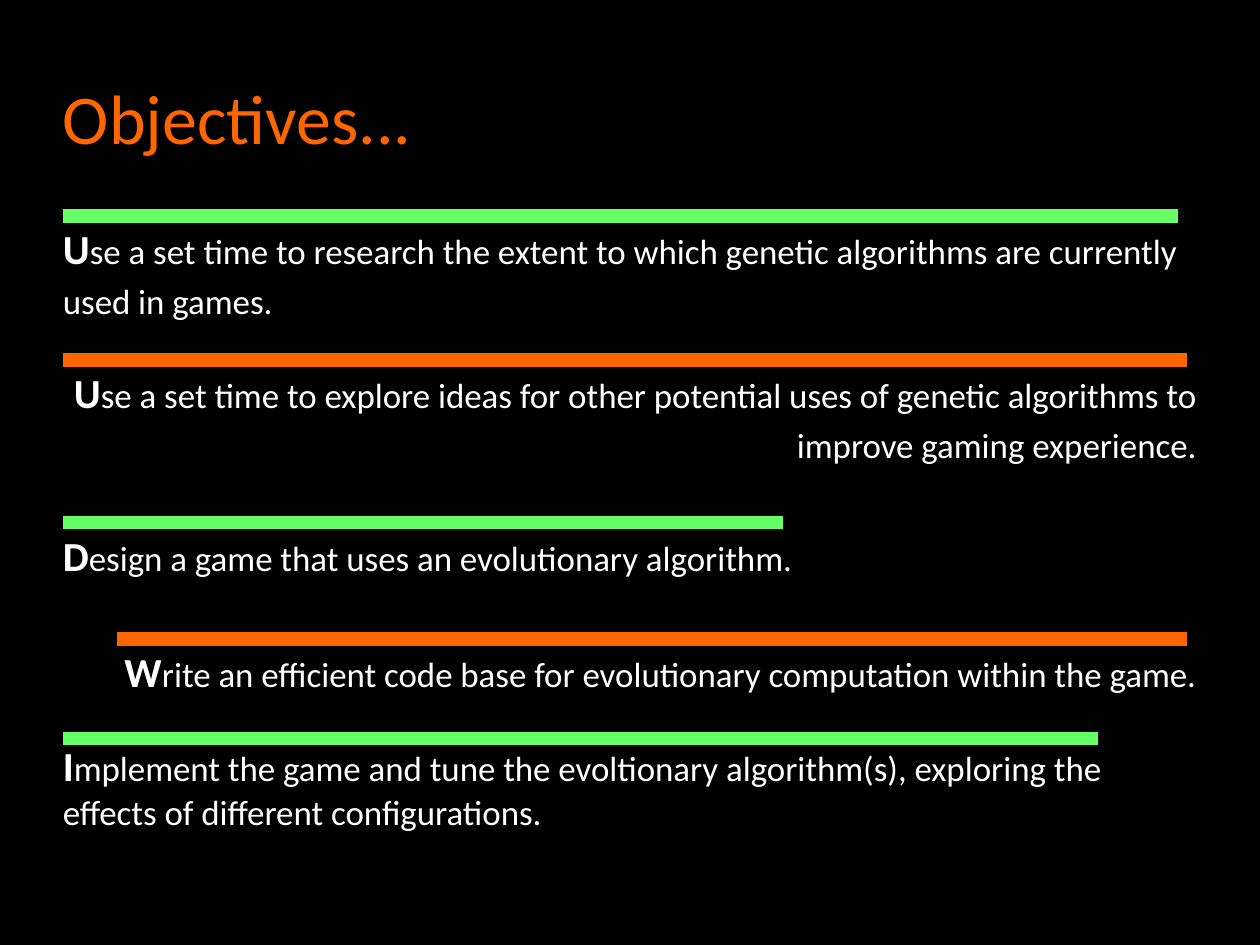
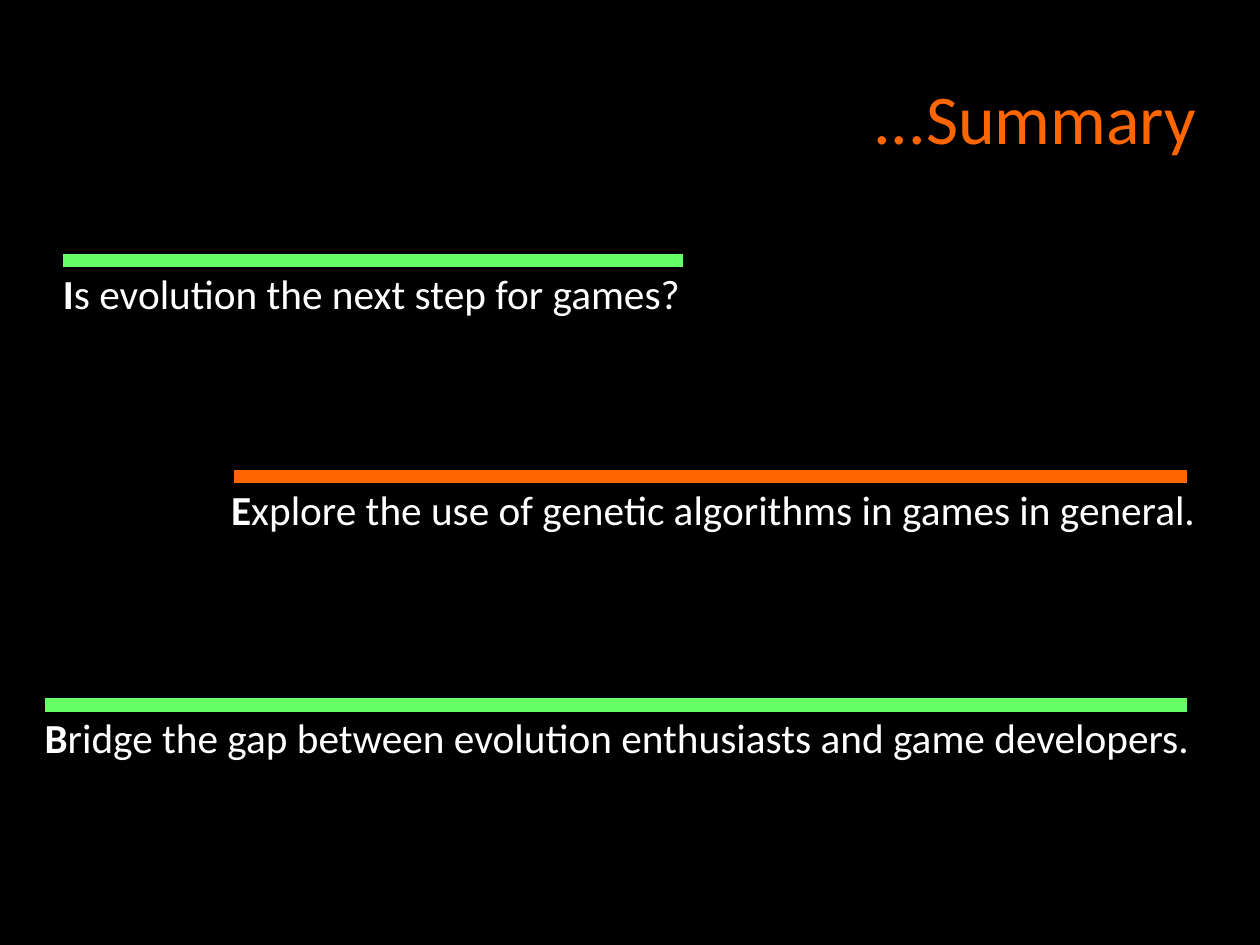
from dataclasses import dataclass

from lxml.etree import SubElement
from pptx import Presentation
from pptx.dml.color import RGBColor
from pptx.enum.shapes import MSO_CONNECTOR as Connector
from pptx.enum.text import MSO_ANCHOR as Anchor, PP_ALIGN as Align
from pptx.oxml.ns import qn
from pptx.util import Emu, Inches, Pt

BLACK = RGBColor(0x00, 0x00, 0x00)
WHITE = RGBColor(0xFF, 0xFF, 0xFF)
ORANGE = RGBColor(0xFF, 0x66, 0x00)
GREEN = RGBColor(0x66, 0xFF, 0x66)
FONT = "Calibri"
INITIAL_SIZE = 26
RULE_COLORS = (GREEN, ORANGE)


@dataclass
class Point:
    text: str
    top: float
    rule: tuple
    left: float
    width: float
    height: float = 0.44
    align: Align = Align.LEFT
    spacing: float = 1.15
    drop: float = 0


OBJECTIVES = (
    Point("Use a set time to research the extent to which genetic algorithms "
          "are currently used in games.",
          1.89, (0.55, 10.31), 0.55, 10.31, 0.87),
    Point("Use a set time to explore ideas for other potential uses of genetic "
          "algorithms to improve gaming experience.",
          3.15, (0.55, 10.39), 0.39, 10.08, 0.87, Align.RIGHT),
    Point("Design a game that uses an evolutionary algorithm.",
          4.57, (0.55, 6.85), 0.55, 6.58),
    Point("Write an efficient code base for evolutionary computation within "
          "the game.",
          5.59, (1.02, 10.39), 0.9, 9.57, align=Align.RIGHT),
    Point("Implement the game and tune the evoltionary algorithm(s), exploring "
          "the effects of different configurations.",
          6.46, (0.55, 9.61), 0.55, 9.21, 0.81, spacing=1.0, drop=0.02),
)
SUMMARY = (
    Point("Is evolution the next step for games?",
          2.28, (0.55, 5.98), 0.55, 10.31, 0.85),
    Point("Explore the use of genetic algorithms in games in general.",
          4.17, (2.05, 10.39), 0.39, 10.08, 0.87, Align.RIGHT),
    Point("Bridge the gap between evolution enthusiasts and game developers.",
          6.17, (0.39, 10.39), 0.39, 10.24),
)


def add_box(page, left, top, width, height, align, anchor=Anchor.TOP):
    box = page.shapes.add_textbox(Inches(left), Inches(top),
                                  Inches(width), Inches(height))
    frame = box.text_frame
    frame.word_wrap = True
    frame.vertical_anchor = anchor
    frame.margin_left = frame.margin_right = 0
    frame.margin_top = frame.margin_bottom = 0
    para = frame.paragraphs[0]
    para.alignment = align
    return para


def add_span(para, text, size, color, bold=False):
    span = para.add_run()
    span.text = text
    span.font.name = FONT
    span.font.size = Pt(size)
    span.font.bold = bold
    span.font.color.rgb = color


def add_rule(page, start, end, top, color):
    rule = page.shapes.add_connector(Connector.STRAIGHT, Inches(start), Inches(top),
                                     Inches(end), Inches(top))
    rule.line.color.rgb = color
    rule.line.width = Pt(8.5)
    SubElement(rule._element.spPr, qn("a:effectLst"))


def add_point(page, point, size):
    para = add_box(page, point.left, point.top + point.drop,
                   point.width, point.height, point.align)
    para.line_spacing = point.spacing
    para.space_after = Pt(2.9)
    add_span(para, point.text[0], INITIAL_SIZE, WHITE, bold=True)
    add_span(para, point.text[1:], size, WHITE)


def add_page(deck, title, title_align, points, size):
    page = deck.slides.add_slide(deck.slide_layouts[6])
    page.background.fill.solid()
    page.background.fill.fore_color.rgb = BLACK
    heading = add_box(page, 0.55, 0.33, 9.92, 1.38, title_align, Anchor.MIDDLE)
    add_span(heading, title, 44, ORANGE)
    for index, point in enumerate(points):
        add_rule(page, *point.rule, point.top, RULE_COLORS[index % 2])
    for point in points:
        add_point(page, point, size)


def main():
    deck = Presentation()
    deck.slide_width = Emu(10080625)
    deck.slide_height = Emu(7559675)
    add_page(deck, "Objectives...", Align.LEFT, OBJECTIVES, 22)
    add_page(deck, "...Summary", Align.RIGHT, SUMMARY, 26)
    deck.save("out.pptx")


main()
